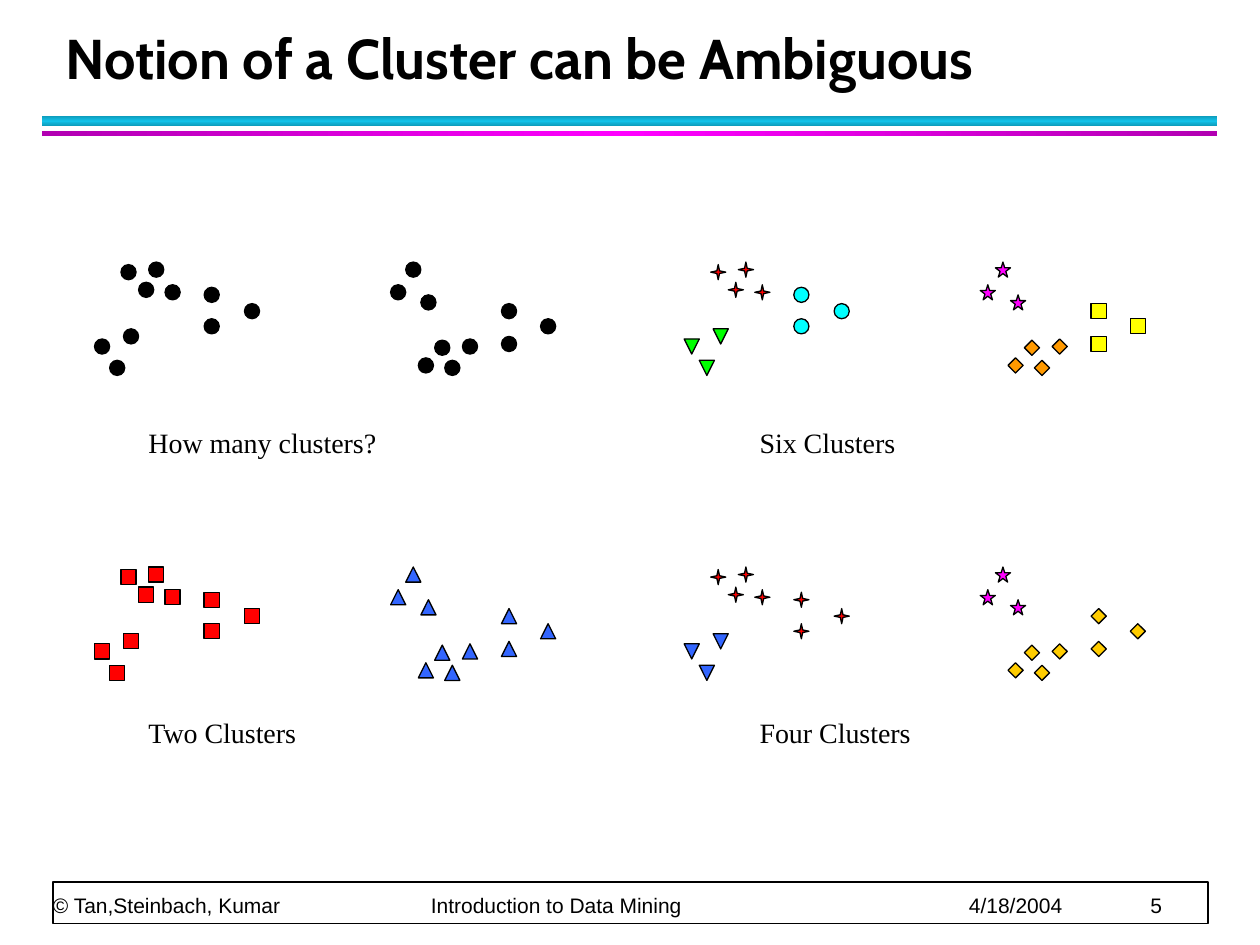
from copy import deepcopy

from pptx import Presentation
from pptx.dml.color import RGBColor
from pptx.enum.shapes import MSO_SHAPE as SHAPE
from pptx.enum.text import MSO_ANCHOR as ANCHOR
from pptx.oxml import parse_xml
from pptx.oxml.ns import nsdecls, qn
from pptx.util import Inches, Pt

COLORS = {
    "black": "000000", "white": "FFFFFF", "red": "FF0000", "blue": "3366FF",
    "green": "00FF00", "cyan": "00FFFF", "yellow": "FFFF00", "orange": "FF9900",
    "gold": "FFCC00", "magenta": "FF00FF", "dark magenta": "B200B2",
    "teal": "12C2E9", "dark teal": "0E9BBA",
}

TITLE = "Notion of a Cluster can be Ambiguous"
# Footer text and its distance from the left edge of the footer
FOOTER = [("© Tan,Steinbach, Kumar", 0), ("Introduction to Data Mining", 3),
          ("4/18/2004", 7.27), ("5", 8.71)]

# Title rules: top, height, edge color, middle color, gradient angle
RULES = [(0.92, 0.08, "dark teal", "teal", 90),
         (1.04, 0.04, "dark magenta", "magenta", 0)]

# The same point groups appear in every panel
POINTS = {
    "left top": [(1.31, 2.26), (0.96, 2.1), (1.18, 2.08), (1.1, 2.24)],
    "left bottom": [(0.98, 2.61), (0.75, 2.69), (0.87, 2.86)],
    "left side": [(1.62, 2.28), (1.94, 2.41), (1.62, 2.53)],
    "right top": [(3.34, 2.34), (3.1, 2.26), (3.22, 2.08)],
    "right bottom": [(3.67, 2.69), (3.32, 2.84), (3.53, 2.86), (3.45, 2.7)],
    "right side": [(3.98, 2.67), (4.29, 2.53), (3.98, 2.41)],
}
DOT = (SHAPE.OVAL, "black")
SQUARE = (SHAPE.RECTANGLE, "red")
TRIANGLE = (SHAPE.ISOSCELES_TRIANGLE, "blue")
SPARK = (SHAPE.STAR_4_POINT, "red")
STAR = (SHAPE.STAR_5_POINT, "magenta")
DIAMOND = (SHAPE.DIAMOND, "gold")

# Caption, panel column, panel row, caption top, markers in the order of POINTS
PANELS = [
    ("How many clusters?", 0, 0, 3.33, [DOT] * 6),
    ("Six Clusters", 1, 0, 3.33,
     [SPARK, (SHAPE.FLOWCHART_MERGE, "green"), (SHAPE.OVAL, "cyan"),
      STAR, (SHAPE.DIAMOND, "orange"), (SHAPE.RECTANGLE, "yellow")]),
    ("Two Clusters", 0, 1, 5.63, [SQUARE] * 3 + [TRIANGLE] * 3),
    ("Four Clusters", 1, 1, 5.63,
     [SPARK, (SHAPE.FLOWCHART_MERGE, "blue"), SPARK, STAR, DIAMOND, DIAMOND]),
]
COLUMN_STEP, ROW_STEP, MARKER = 4.68, 2.42, 0.12
CAPTION_LEFT, CAPTION_STEP = 1.08, 4.85


def rgb(name):
    return RGBColor.from_string(COLORS[name])


def add_shape(slide, kind, box, fill, line_width=None):
    shape = slide.shapes.add_shape(kind, *map(Inches, box))
    shape.shadow.inherit = False
    shape.fill.solid()
    shape.fill.fore_color.rgb = rgb(fill)
    if line_width:
        shape.line.color.rgb = rgb("black")
        shape.line.width = Pt(line_width)
    else:
        shape.line.fill.background()
    return shape


def add_rule(slide, top, height, edge, middle, angle):
    rule = add_shape(slide, SHAPE.RECTANGLE, (0.33, top, 9.33, height), edge)
    rule.fill.gradient()
    rule.fill.gradient_angle = angle
    stop_list = rule.fill._xPr.find(qn("a:gradFill")).find(qn("a:gsLst"))
    stop_list.append(deepcopy(stop_list[0]))
    for stop, position, color in zip(rule.fill.gradient_stops, (0, 0.5, 1),
                                     (edge, middle, edge)):
        stop.position = position
        stop.color.rgb = rgb(color)


def add_text(slide, box, texts, font, size, bold=False, anchor=ANCHOR.TOP,
             spacing=None, margins=(0.1, 0.05), tabs=()):
    frame = slide.shapes.add_textbox(*map(Inches, box)).text_frame
    frame.word_wrap = True
    frame.vertical_anchor = anchor
    frame.margin_left = frame.margin_right = Inches(margins[0])
    frame.margin_top = frame.margin_bottom = Inches(margins[1])
    paragraph = frame.paragraphs[0]
    if spacing:
        paragraph.line_spacing = Pt(spacing)
    if tabs:
        stops = "".join(f'<a:tab pos="{Inches(tab)}" algn="l"/>' for tab in tabs)
        paragraph._p.get_or_add_pPr().append(
            parse_xml(f'<a:tabLst {nsdecls("a")}>{stops}</a:tabLst>'))
    for index, text in enumerate(texts):
        run = paragraph.add_run()
        run.text = "\t" + text if index else text
        run.font.name = font
        run.font.size = Pt(size)
        run.font.bold = bold
        run.font.color.rgb = rgb("black")


def add_panel(slide, caption, column, row, caption_top, markers):
    for points, (kind, color) in zip(POINTS.values(), markers):
        for x, y in points:
            box = (x + column * COLUMN_STEP, y + row * ROW_STEP, MARKER, MARKER)
            add_shape(slide, kind, box, color, 0.75)
    caption_left = CAPTION_LEFT + column * CAPTION_STEP
    add_text(slide, (caption_left, caption_top, 2.5, 0.37), [caption],
             "Times New Roman", 16)


def main():
    presentation = Presentation()
    presentation.slide_width, presentation.slide_height = Inches(10), Inches(7.5)
    slide = presentation.slides.add_slide(presentation.slide_layouts[6])

    # Title and its rules
    for rule in RULES:
        add_rule(slide, *rule)
    add_text(slide, (0.42, 0.17, 9.06, 0.6), [TITLE], "Cabin", 32, bold=True,
             anchor=ANCHOR.BOTTOM, spacing=36)

    # Footer
    add_shape(slide, SHAPE.RECTANGLE, (0.42, 7, 9.17, 0.33), "white", 1)
    add_text(slide, (0.42, 6.72, 9.15, 0.56), [text for text, _ in FOOTER],
             "Arial", 12, anchor=ANCHOR.BOTTOM, spacing=20, margins=(0, 0),
             tabs=[left for _, left in FOOTER[1:]])

    # Cluster panels
    for panel in PANELS:
        add_panel(slide, *panel)

    presentation.save("out.pptx")


if __name__ == "__main__":
    main()
